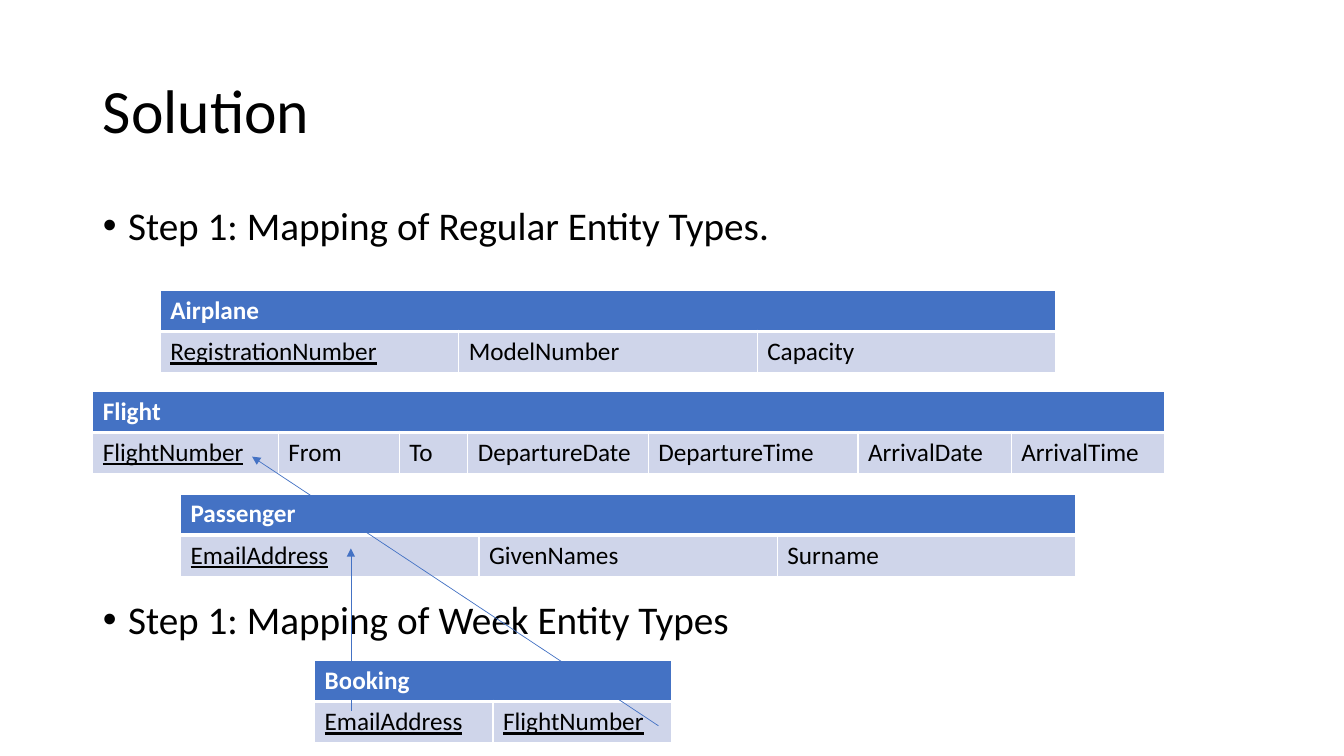
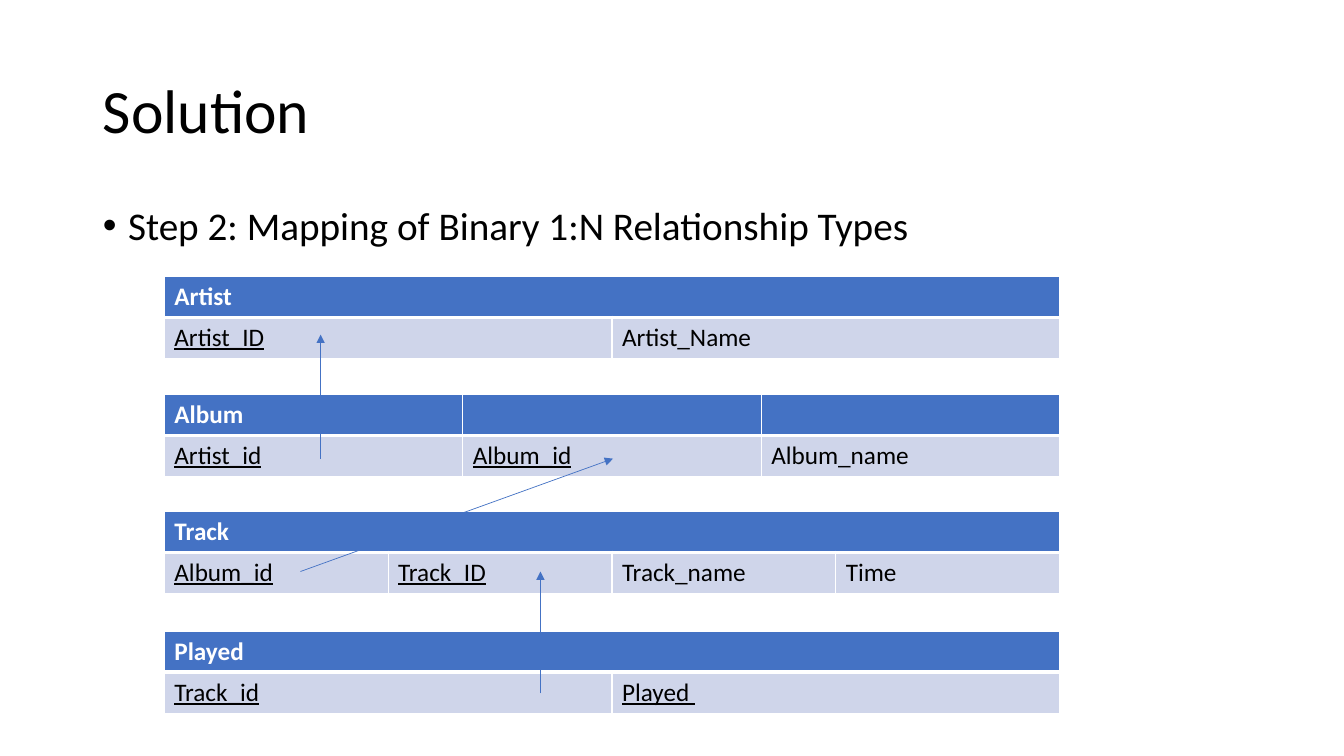
from dataclasses import dataclass

from lxml import etree
from pptx import Presentation, util as u
from pptx.dml.color import RGBColor
from pptx.enum import shapes, text
from pptx.oxml import ns

EMU_PER_PX = 9144


def px(length):
    return u.Emu(length * EMU_PER_PX)


@dataclass(frozen=True)
class Theme:
    font: str = "Calibri"
    ink: str = "000000"
    paper: str = "FFFFFF"
    accent: str = "4472C4"
    row: str = "CFD5EA"
    title_size: int = 44
    list_size: int = 28
    table_size: int = 18
    arrow_width: float = 0.5
    border: int = 1
    header_border: int = 3
    line_spacing: float = 0.9
    bullet_gap: int = 10


class Deck:
    def __init__(self, theme):
        self.theme = theme
        self.presentation = Presentation()
        self.presentation.slide_width = px(1333)
        self.presentation.slide_height = px(750)
        self.slide = None

    def add_slide(self, title):
        layout = self.presentation.slide_layouts[1]
        self.slide = self.presentation.slides.add_slide(layout)
        shape = self.slide.shapes.title
        self.place(shape, 92, 40, 1150, 145)
        frame = shape.text_frame
        frame.text = title
        frame.vertical_anchor = text.MSO_ANCHOR.MIDDLE
        paragraph = frame.paragraphs[0]
        paragraph.alignment = text.PP_ALIGN.LEFT
        paragraph.line_spacing = self.theme.line_spacing
        self.style(paragraph, self.theme.title_size, self.theme.ink)

    def place(self, shape, left, top, width, height):
        shape.left, shape.top = px(left), px(top)
        shape.width, shape.height = px(width), px(height)
        shape.text_frame.auto_size = text.MSO_AUTO_SIZE.NONE

    def style(self, paragraph, size, color, bold=False, underline=False):
        for run in paragraph.runs:
            run.font.name = self.theme.font
            run.font.size = u.Pt(size)
            run.font.color.rgb = RGBColor.from_string(color)
            run.font.bold = bold
            run.font.underline = underline

    def bullets(self, lines, gap=None):
        shape = self.slide.placeholders[1]
        self.place(shape, 92, 200, 1150, 476)
        frame = shape.text_frame
        frame.text = "\n".join(lines)
        for index, paragraph in enumerate(frame.paragraphs):
            paragraph.line_spacing = self.theme.line_spacing
            space = gap if index and gap else self.theme.bullet_gap
            paragraph.space_before = u.Pt(space)
            properties = paragraph._p.get_or_add_pPr()
            properties.set("marL", str(px(25)))
            properties.set("indent", str(px(-25)))
            self.style(paragraph, self.theme.list_size, self.theme.ink)

    def relation(self, name, fields, keys, left, top, widths, merged=True):
        height = 41
        frame = self.slide.shapes.add_table(
            2, len(fields), px(left), px(top), px(sum(widths)), px(2 * height))
        table = frame.table
        for column, width in zip(table.columns, widths):
            column.width = px(width)
        for row in table.rows:
            row.height = px(height)
        for index, field in enumerate(fields):
            self.cell(table.cell(0, index), "" if index else name, True)
            self.cell(table.cell(1, index), field, False, index < keys)
        if merged:
            table.cell(0, 0).merge(table.cell(0, len(fields) - 1))

    def cell(self, cell, label, header, key=False):
        theme = self.theme
        cell.text = label
        self.style(cell.text_frame.paragraphs[0], theme.table_size,
                   theme.paper if header else theme.ink, header, key)
        shared_edge = "lnB" if header else "lnT"
        properties = cell._tc.get_or_add_tcPr()
        for edge in ("lnL", "lnR", "lnT", "lnB"):
            width = theme.header_border if edge == shared_edge else theme.border
            line = etree.SubElement(properties, ns.qn(f"a:{edge}"), w=str(u.Pt(width)))
            fill = etree.SubElement(line, ns.qn("a:solidFill"))
            etree.SubElement(fill, ns.qn("a:srgbClr"), val=theme.paper)
        cell.fill.solid()
        cell.fill.fore_color.rgb = RGBColor.from_string(theme.accent if header else theme.row)

    def arrow(self, start, end):
        connector = self.slide.shapes.add_connector(
            shapes.MSO_CONNECTOR.STRAIGHT, *map(px, start + end))
        connector.line.color.rgb = RGBColor.from_string(self.theme.accent)
        connector.line.width = u.Pt(self.theme.arrow_width)
        properties = connector.element.spPr
        line = properties.find(ns.qn("a:ln"))
        etree.SubElement(line, ns.qn("a:tailEnd"), type="triangle")
        etree.SubElement(properties, ns.qn("a:effectLst"))


def add_entity_slide(deck):
    deck.add_slide("Solution")
    deck.bullets(["Step 1: Mapping of Regular Entity Types.",
                  "Step 1: Mapping of Week Entity Types"], gap=251)
    deck.relation("Airplane", ["RegistrationNumber", "ModelNumber", "Capacity"],
                  1, 159, 288, [296] * 3)
    deck.relation("Flight", ["FlightNumber", "From", "To", "DepartureDate",
                             "DepartureTime", "ArrivalDate", "ArrivalTime"],
                  1, 92, 388, [184, 120, 68, 179, 208, 152, 152])
    deck.relation("Passenger", ["EmailAddress", "GivenNames", "Surname"],
                  1, 179, 490, [296] * 3)
    deck.relation("Booking", ["EmailAddress", "FlightNumber"], 2, 312, 655, [177] * 2)
    deck.arrow((348, 705), (348, 544))
    deck.arrow((653, 720), (250, 453))


def add_relationship_slide(deck):
    deck.add_slide("Solution")
    deck.bullets(["Step 2: Mapping of Binary 1:N Relationship Types"])
    left = 163
    deck.relation("Artist", ["Artist_ID", "Artist_Name"], 1, left, 274, [444] * 2)
    deck.relation("Album", ["Artist_id", "Album_id", "Album_name"],
                  2, left, 391, [296] * 3, merged=False)
    deck.relation("Track", ["Album_id", "Track_ID", "Track_name", "Time"],
                  2, left, 507, [222] * 4)
    deck.relation("Played", ["Track_id", "Played "], 2, left, 626, [444] * 2)
    deck.arrow((318, 455), (318, 332))
    deck.arrow((298, 567), (608, 455))
    deck.arrow((536, 688), (536, 567))


def main():
    deck = Deck(Theme())
    add_entity_slide(deck)
    add_relationship_slide(deck)
    deck.presentation.save("out.pptx")


if __name__ == "__main__":
    main()
